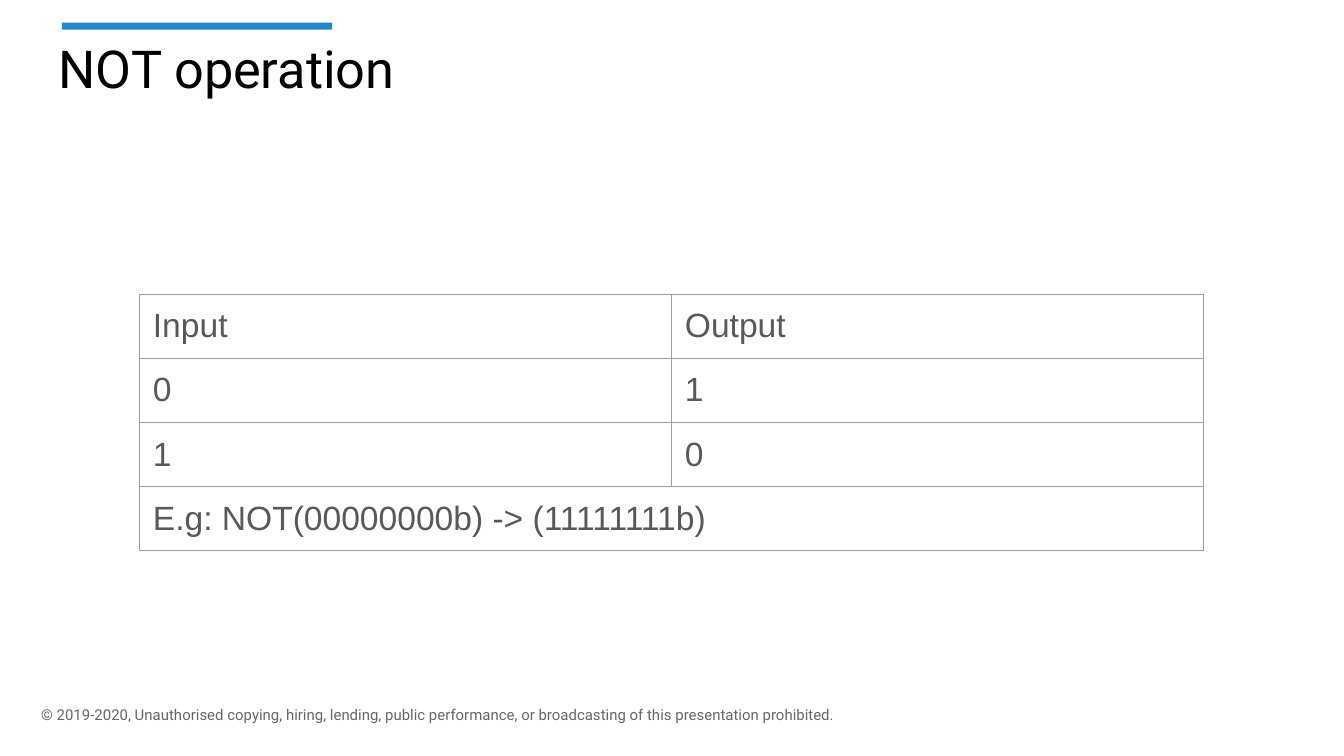
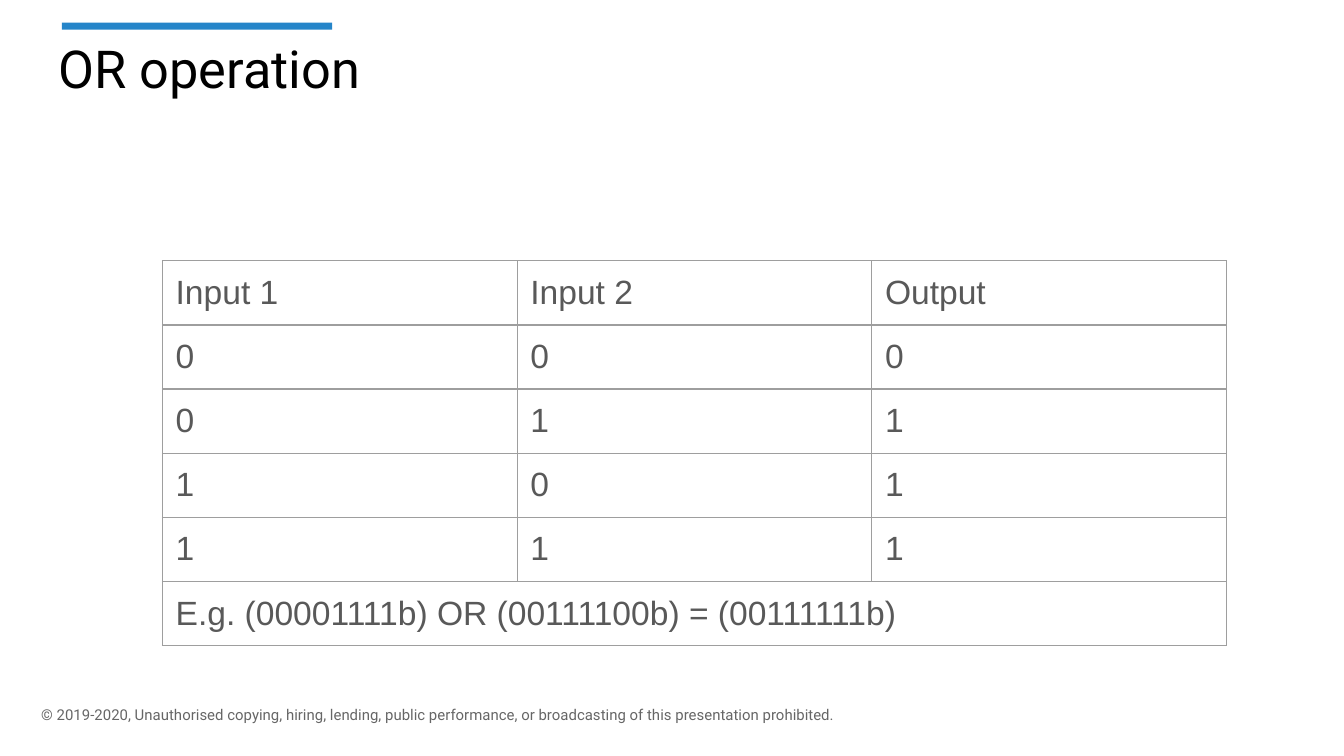
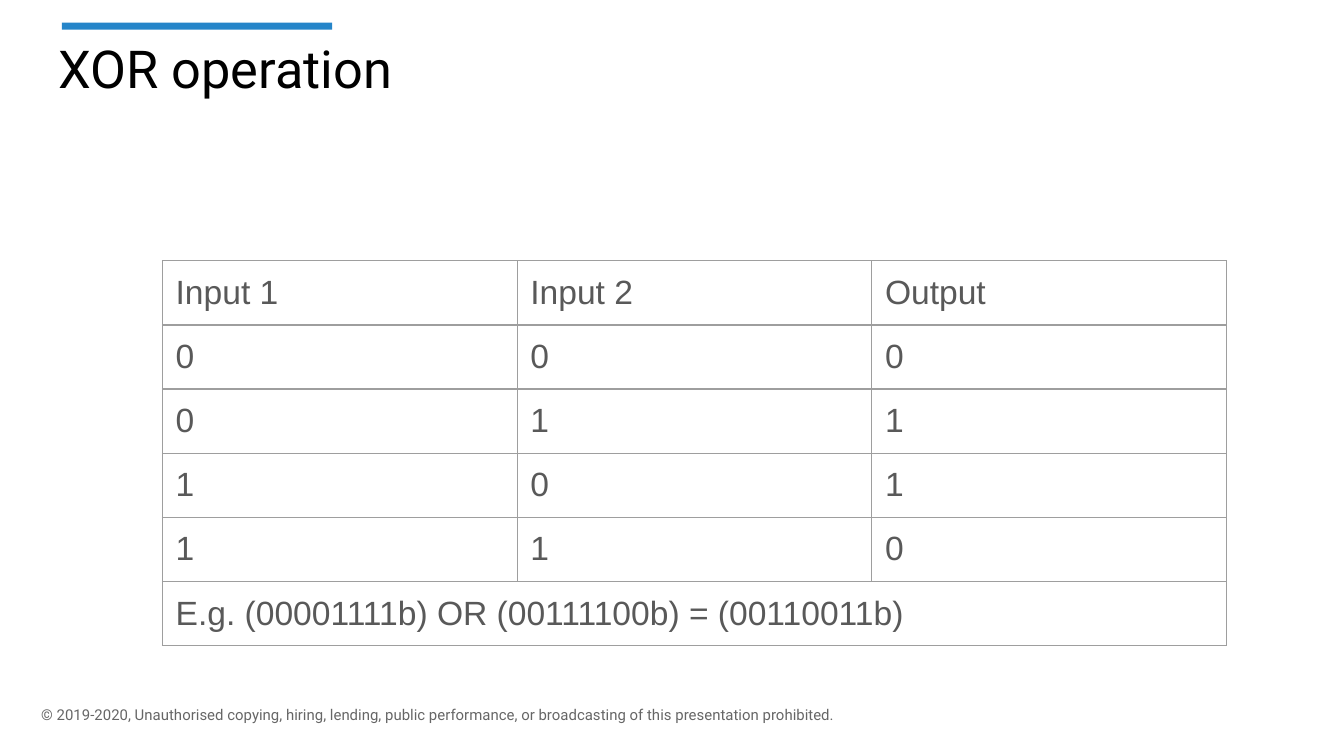
from lxml import etree
from pptx import Presentation
from pptx.dml.color import RGBColor
from pptx.enum.shapes import MSO_SHAPE as Preset
from pptx.enum.text import MSO_ANCHOR as Anchor, MSO_AUTO_SIZE as AutoSize, PP_ALIGN as Align
from pptx.oxml import parse_xml
from pptx.oxml.ns import nsdecls
from pptx.util import Cm, Pt

BLUE = RGBColor(0x25, 0x85, 0xC9)
BLACK = RGBColor(0x00, 0x00, 0x00)
FOOTER_GREY = RGBColor(0x66, 0x66, 0x66)
TABLE_GREY = RGBColor(0x59, 0x59, 0x59)
BORDER_GREY = RGBColor(0x9E, 0x9E, 0x9E)

COPYRIGHT = ("© 2019-2020, Unauthorised copying, hiring, lending, public performance, "
             "or broadcasting of this presentation prohibited.")
TABLE_WIDTH = 20.11
ROW_HEIGHT = 1.07

INSETS = {f"margin_{side}": Cm(0.25) for side in ("left", "right", "top", "bottom")}
FRAME = {**INSETS, "word_wrap": True, "auto_size": AutoSize.NONE}
TITLE_PLACE = {"left": Cm(0.86), "top": Cm(0.43), "width": Cm(23.67), "height": Cm(1.6)}
TITLE_FRAME = {**FRAME, "vertical_anchor": Anchor.TOP}
TITLE_FONT = {"name": "Roboto", "size": Pt(28)}
FOOTER_FRAME = {**FRAME, "vertical_anchor": Anchor.MIDDLE}
FOOTER_FONT = {"name": "Roboto", "size": Pt(8)}
CELL_FORMAT = {**INSETS, "vertical_anchor": Anchor.TOP}
CELL_FONT = {"name": "Arial", "size": Pt(18)}

OPERATIONS = [
    ("NOT operation", 2.64, 5.56,
     [("Input", "Output"), "01", "10"],
     "E.g: NOT(00000000b) -> (11111111b)"),
    ("OR operation", 3.07, 4.93,
     [("Input 1", "Input 2", "Output"), "000", "011", "101", "111"],
     "E.g. (00001111b) OR (00111100b) = (00111111b)"),
    ("XOR operation", 3.07, 4.93,
     [("Input 1", "Input 2", "Output"), "000", "011", "101", "110"],
     "E.g. (00001111b) OR (00111100b) = (00110011b)"),
]


def apply(target, values):
    for attribute, value in values.items():
        setattr(target, attribute, value)


def write(frame, text, font_values, color):
    frame.text = text
    paragraph = frame.paragraphs[0]
    paragraph.alignment = Align.LEFT
    font = paragraph.runs[0].font
    apply(font, font_values)
    font.color.rgb = color


deck = Presentation()
deck.slide_width, deck.slide_height = Cm(25.4), Cm(14.29)
title_only = deck.slide_layouts[5]

for heading, left, top, truth_rows, example in OPERATIONS:
    slide = deck.slides.add_slide(title_only)

    title = slide.shapes.title
    apply(title, TITLE_PLACE)
    apply(title.text_frame, TITLE_FRAME)
    write(title.text_frame, heading, TITLE_FONT, BLACK)

    accent = slide.shapes.add_shape(Preset.RECTANGLE, Cm(1.17), Cm(0.43), Cm(5.11), Cm(0.13))
    accent.shadow.inherit = False
    accent.fill.solid()
    accent.fill.fore_color.rgb = BLUE
    accent.line.fill.background()

    footer = slide.shapes.add_textbox(Cm(0.53), Cm(13.08), Cm(24), Cm(0.86))
    apply(footer.text_frame, FOOTER_FRAME)
    write(footer.text_frame, COPYRIGHT, FOOTER_FONT, FOOTER_GREY)

    column_count = len(truth_rows[0])
    row_count = len(truth_rows) + 1
    truth_table = slide.shapes.add_table(
        row_count, column_count, Cm(left), Cm(top),
        Cm(TABLE_WIDTH), Cm(ROW_HEIGHT * row_count)).table
    apply(truth_table, {"first_row": False, "horz_banding": False})

    for r, row in enumerate(truth_rows):
        for c, value in enumerate(row):
            write(truth_table.cell(r, c).text_frame, value, CELL_FONT, TABLE_GREY)
    example_cell = truth_table.cell(row_count - 1, 0)
    example_cell.merge(truth_table.cell(row_count - 1, column_count - 1))
    write(example_cell.text_frame, example, CELL_FONT, TABLE_GREY)

    for cell in truth_table.iter_cells():
        apply(cell, CELL_FORMAT)
        cell.fill.background()
        properties = cell._tc.get_or_add_tcPr()
        for position, edge in enumerate(("lnL", "lnR", "lnT", "lnB")):
            border = parse_xml(f'<a:{edge} {nsdecls("a")} w="{Pt(0.75)}"><a:solidFill>'
                               f'<a:srgbClr val="{BORDER_GREY}"/></a:solidFill></a:{edge}>')
            properties.insert(position, border)

deck.save("out.pptx")
